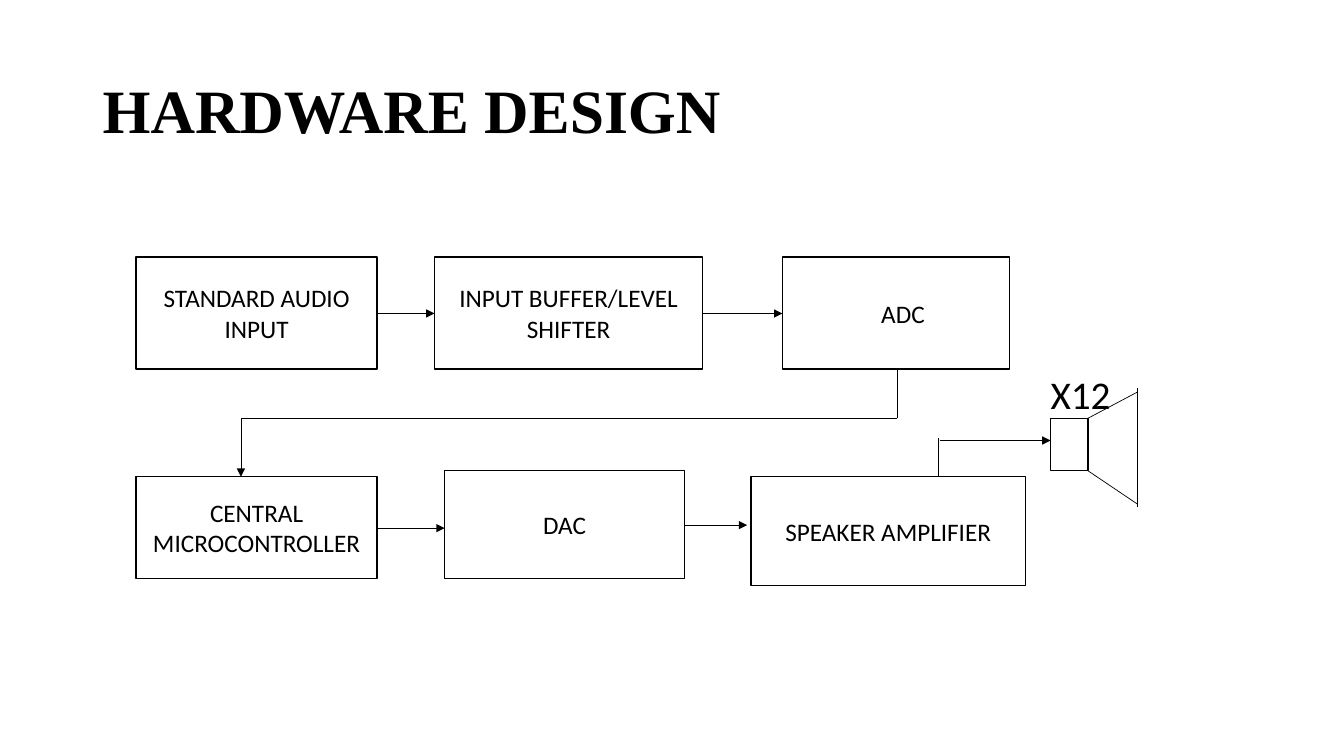
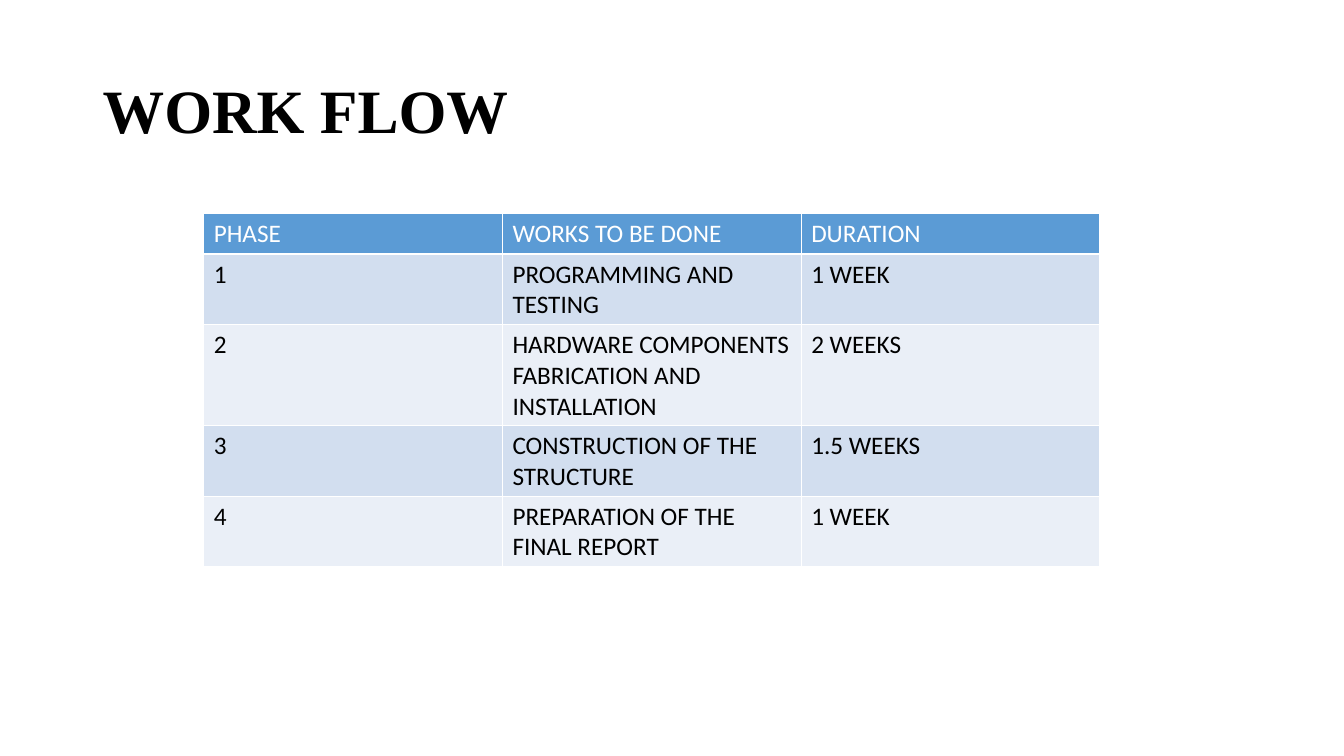
from dataclasses import dataclass

import lxml.etree
import pptx
import pptx.dml.color
import pptx.enum.shapes
import pptx.enum.text
import pptx.oxml.ns
import pptx.presentation
import pptx.shapes.autoshape
import pptx.slide
import pptx.table
import pptx.text.text
import pptx.util

Inches = pptx.util.Inches
Pt = pptx.util.Pt
Align = pptx.enum.text.PP_ALIGN
Middle = pptx.enum.text.MSO_ANCHOR.MIDDLE

HUES = {
    "ink": "000000",
    "paper": "FFFFFF",
    "header": "5B9BD5",
    "odd": "D2DEEF",
    "even": "EAEFF7",
}
SERIF = "Times New Roman"
SANS = "Calibri"


@dataclass(frozen=True)
class Block:
    left: float
    top: float
    width: float
    height: float
    label: str = ""
    indent: float = 0.1


@dataclass(frozen=True)
class Wire:
    start: tuple[float, float]
    end: tuple[float, float]
    arrow: bool = False


@dataclass(frozen=True)
class Phase:
    task: str
    time: str
    lines: int


BLOCKS = [
    Block(1.35, 2.55, 2.39, 1.11, "STANDARD AUDIO INPUT"),
    Block(4.31, 2.55, 2.66, 1.11, "INPUT BUFFER/LEVEL SHIFTER"),
    Block(7.76, 2.55, 2.25, 1.11, "ADC", 0.24),
    Block(1.35, 4.73, 2.39, 1.01, "CENTRAL MICROCONTROLLER"),
    Block(4.41, 4.67, 2.38, 1.07, "DAC"),
    Block(7.45, 4.73, 2.72, 1.08, "SPEAKER AMPLIFIER"),
    Block(10.42, 4.15, 0.37, 0.52),
]

WIRES = [
    Wire((3.75, 3.11), (4.31, 3.11), True),
    Wire((6.97, 3.11), (7.76, 3.11), True),
    Wire((8.9, 3.66), (8.9, 4.15)),
    Wire((8.9, 4.15), (2.39, 4.15)),
    Wire((2.39, 4.15), (2.39, 4.73), True),
    Wire((3.75, 5.24), (4.41, 5.24), True),
    Wire((6.79, 5.21), (7.41, 5.21), True),
    Wire((9.31, 4.73), (9.31, 4.35)),
    Wire((9.32, 4.37), (10.42, 4.37), True),
    Wire((10.79, 4.15), (11.28, 3.89)),
    Wire((10.79, 4.67), (11.28, 5)),
    Wire((11.28, 3.85), (11.28, 5.03)),
]

HEADS = ("PHASE", "WORKS TO BE DONE", "DURATION")
PHASES = [
    Phase("PROGRAMMING AND TESTING", "1 WEEK", 2),
    Phase("HARDWARE COMPONENTS FABRICATION AND INSTALLATION", "2 WEEKS", 3),
    Phase("CONSTRUCTION OF THE STRUCTURE", "1.5 WEEKS", 2),
    Phase("PREPARATION OF THE FINAL REPORT", "1 WEEK", 2),
]


def color(name: str) -> pptx.dml.color.RGBColor:
    return pptx.dml.color.RGBColor.from_string(HUES[name])


def add_run(frame: pptx.text.text.TextFrame, text: str, size: float,
            hue: str = "ink", face: str = SANS, bold: bool = False) -> None:
    run = frame.paragraphs[0].add_run()
    run.text = text
    run.font.size = Pt(size)
    run.font.name = face
    run.font.bold = bold
    run.font.color.rgb = color(hue)


def add_label(slide: pptx.slide.Slide, block: Block, size: float,
              face: str = SANS, bold: bool = False) -> None:
    box = slide.shapes.add_textbox(Inches(block.left), Inches(block.top),
                                   Inches(block.width), Inches(block.height))
    frame = box.text_frame
    frame.word_wrap = True
    frame.vertical_anchor = Middle
    frame.margin_left = Inches(block.indent)
    frame.margin_right = Inches(block.indent)
    frame.paragraphs[0].line_spacing = 0.9
    add_run(frame, block.label, size, face=face, bold=bold)


def add_page(deck: pptx.presentation.Presentation, title: str) -> pptx.slide.Slide:
    slide = deck.slides.add_slide(deck.slide_layouts[6])
    add_label(slide, Block(0.92, 0.4, 11.5, 1.45, title), 44, SERIF, True)
    return slide


def add_block(slide: pptx.slide.Slide, block: Block) -> None:
    shape = slide.shapes.add_shape(
        pptx.enum.shapes.MSO_SHAPE.RECTANGLE, Inches(block.left),
        Inches(block.top), Inches(block.width), Inches(block.height))
    shape.shadow.inherit = False
    shape.fill.solid()
    shape.fill.fore_color.rgb = color("paper")
    shape.line.color.rgb = color("ink")
    shape.line.width = Pt(1)
    if block.label:
        frame = shape.text_frame
        frame.word_wrap = True
        frame.vertical_anchor = Middle
        frame.margin_left = Inches(block.indent)
        frame.paragraphs[0].alignment = Align.CENTER
        add_run(frame, block.label, 18)


def add_wire(slide: pptx.slide.Slide, wire: Wire) -> None:
    line = slide.shapes.add_connector(
        pptx.enum.shapes.MSO_CONNECTOR.STRAIGHT,
        *map(Inches, wire.start + wire.end))
    line.line.color.rgb = color("ink")
    line.line.width = Pt(0.5)
    props = line.element.spPr
    if wire.arrow:
        stroke = props.find(pptx.oxml.ns.qn("a:ln"))
        lxml.etree.SubElement(stroke, pptx.oxml.ns.qn("a:tailEnd"), type="triangle")
    lxml.etree.SubElement(props, pptx.oxml.ns.qn("a:effectLst"))


def fill_cell(cell: pptx.table._Cell, text: str, back: str, hue: str) -> None:
    props = cell._tc.get_or_add_tcPr()
    for side in "LRTB":
        edge = lxml.etree.SubElement(props, pptx.oxml.ns.qn(f"a:ln{side}"),
                                     w=str(Pt(1)))
        solid = lxml.etree.SubElement(edge, pptx.oxml.ns.qn("a:solidFill"))
        lxml.etree.SubElement(solid, pptx.oxml.ns.qn("a:srgbClr"),
                              val=HUES["paper"])
    cell.fill.solid()
    cell.fill.fore_color.rgb = color(back)
    add_run(cell.text_frame, text, 18, hue)


def draw_design(deck: pptx.presentation.Presentation) -> None:
    slide = add_page(deck, "HARDWARE DESIGN")
    add_label(slide, Block(10.42, 3.7, 0.8, 0.47, "X12", 0), 28)
    for block in BLOCKS:
        add_block(slide, block)
    for wire in WIRES:
        add_wire(slide, wire)


def draw_flow(deck: pptx.presentation.Presentation) -> None:
    slide = add_page(deck, "WORK FLOW")
    rows = [HEADS] + [(str(num), phase.task, phase.time)
                      for num, phase in enumerate(PHASES, 1)]
    lines = [1] + [phase.lines for phase in PHASES]
    table = slide.shapes.add_table(len(rows), len(HEADS), Inches(2.02),
                                   Inches(2.12), Inches(8.89), Inches(3.5)).table
    for row, count in zip(table.rows, lines):
        row.height = Inches(0.1 + 0.3 * count)
    for i, row in enumerate(rows):
        back = "header" if i == 0 else "odd" if i % 2 else "even"
        for j, text in enumerate(row):
            fill_cell(table.cell(i, j), text, back, "ink" if i else "paper")


def main() -> None:
    deck = pptx.Presentation()
    deck.slide_width = Inches(13.33)
    deck.slide_height = Inches(7.5)
    draw_design(deck)
    draw_flow(deck)
    deck.save("out.pptx")


main()
